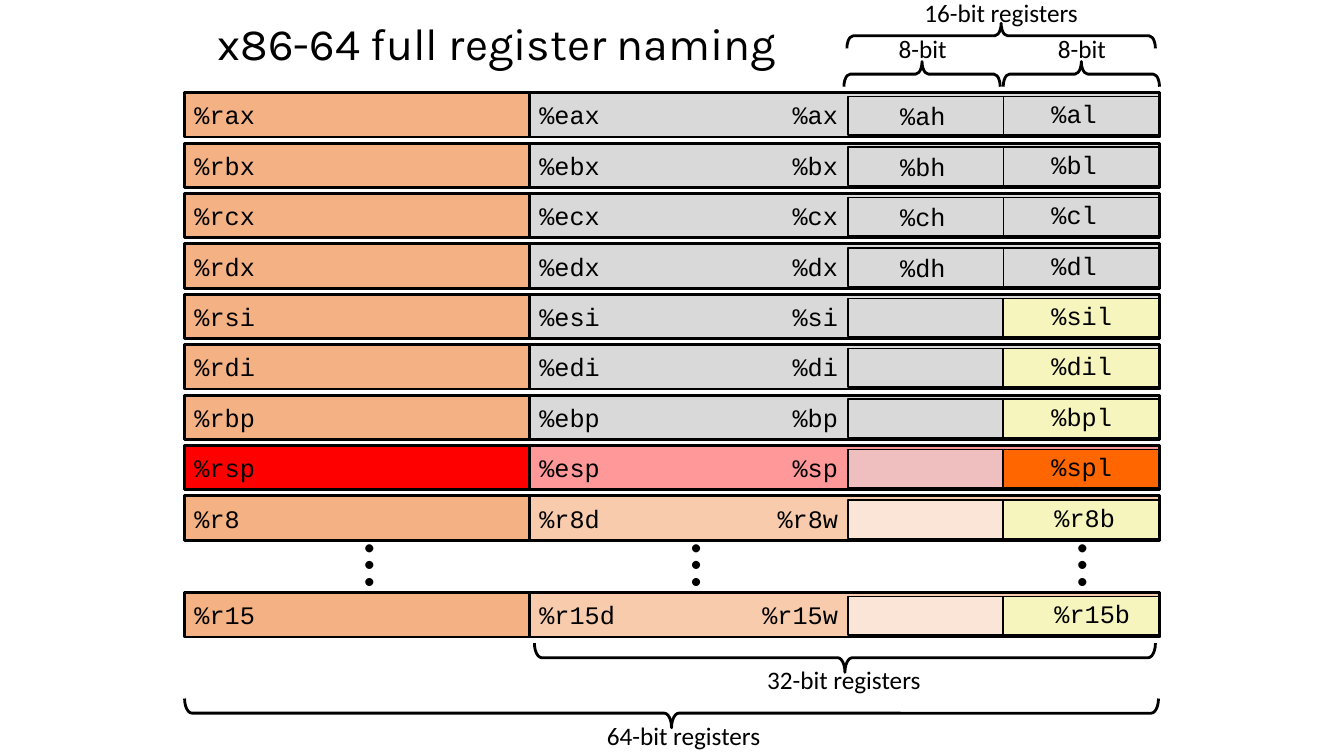
from dataclasses import dataclass

from lxml import etree
from pptx import Presentation
from pptx.dml.color import RGBColor
from pptx.enum.shapes import MSO_CONNECTOR, MSO_SHAPE
from pptx.enum.text import MSO_ANCHOR, MSO_AUTO_SIZE, PP_ALIGN
from pptx.oxml.ns import qn
from pptx.util import Inches, Pt

RECT, BRACE = MSO_SHAPE.RECTANGLE, MSO_SHAPE.RIGHT_BRACE
STRAIGHT = MSO_CONNECTOR.STRAIGHT
LEFT, CENTER, RIGHT = PP_ALIGN.LEFT, PP_ALIGN.CENTER, PP_ALIGN.RIGHT
MIDDLE = MSO_ANCHOR.MIDDLE
NO_FIT, GROW = MSO_AUTO_SIZE.NONE, MSO_AUTO_SIZE.SHAPE_TO_FIT_TEXT

MONO, SANS, TITLE_FONT = "Courier New", "Calibri", "Karla"
BLACK, ORANGE, GREY, YELLOW = "000000", "F4B183", "D9D9D9", "F6F5BD"
PEACH, PALE = "F8CBAD", "FBE5D6"

# Column edges of the register file
X64, X32, X16, X8, X_END = 1.83, 5.25, 8.41, 9.95, 11.5
ROW_TOP, ROW_STEP, ROW_H, BYTE_H = 0.92, 0.5, 0.44, 0.38
LAST_TOP = 5.88


@dataclass
class Register:
    r64: str
    r32: str
    r16: str
    low: str
    high: str = ""
    fill64: str = ORANGE
    fill32: str = GREY
    fill16: str = GREY
    fill_low: str = YELLOW
    low_x: float = 10.33


@dataclass
class Brace:
    left: float
    top: float
    span: float
    depth: float
    rotation: int
    label: str
    label_mid: float
    label_top: float
    label_w: float


REGISTERS = [
    Register("%rax", "%eax", "%ax", "%al", "%ah"),
    Register("%rbx", "%ebx", "%bx", "%bl", "%bh"),
    Register("%rcx", "%ecx", "%cx", "%cl", "%ch"),
    Register("%rdx", "%edx", "%dx", "%dl", "%dh"),
    Register("%rsi", "%esi", "%si", "%sil"),
    Register("%rdi", "%edi", "%di", "%dil"),
    Register("%rbp", "%ebp", "%bp", "%bpl"),
    Register("%rsp", "%esp", "%sp", "%spl", fill64="FF0000",
             fill32="FF9999", fill16="EFBFBF", fill_low="FF6600"),
    Register("%r8", "%r8d", "%r8w", "%r8b",
             fill32=PEACH, fill16=PALE, low_x=10.36),
    Register("%r15", "%r15d", "%r15w", "%r15b",
             fill32=PEACH, fill16=PALE, low_x=10.36),
]

BRACES = [
    Brace(5.3, 6.38, 6.16, 0.29, 90, "32-bit registers", 8.37, 6.54, 1.78),
    Brace(8.4, 0.23, 3.06, 0.25, 270, "16-bit registers", 9.93, -0.08, 1.78),
    Brace(9.95, 0.61, 1.55, 0.25, 270, "8-bit", 10.73, 0.28, 0.69),
    Brace(8.37, 0.61, 1.55, 0.25, 270, "8-bit", 9.15, 0.28, 0.69),
    Brace(1.83, 6.93, 9.66, 0.29, 90, "64-bit registers", 6.78, 7.1, 1.78),
]

ELLIPSIS_X = [3.55, 6.79, 10.62]


def rgb(color: str) -> RGBColor:
    return RGBColor.from_string(color)


def write(tf, text: str, size: float, font: str, align=LEFT) -> None:
    p = tf.paragraphs[0]
    p.alignment = align
    r = p.add_run()
    r.text = text
    r.font.size = Pt(size)
    r.font.name = font
    r.font.color.rgb = rgb(BLACK)


def outline(sp, width: float) -> None:
    sp.line.color.rgb = rgb(BLACK)
    sp.line.width = Pt(width)


def add_box(slide, x: float, y: float, w: float, h: float,
            fill: str, line: float, text: str = ""):
    sp = slide.shapes.add_shape(RECT, Inches(x), Inches(y), Inches(w), Inches(h))
    sp.shadow.inherit = False
    sp.fill.solid()
    sp.fill.fore_color.rgb = rgb(fill)
    outline(sp, line)
    if text:
        sp.text_frame.word_wrap = False
        sp.text_frame.vertical_anchor = MIDDLE
        write(sp.text_frame, text, 18, MONO)
    return sp


def add_label(slide, x: float, y: float, w: float, text: str, font: str = MONO,
              align=LEFT, h: float = 0.4, size: float = 18):
    sp = slide.shapes.add_textbox(Inches(x), Inches(y), Inches(w), Inches(h))
    sp.text_frame.word_wrap = False
    sp.text_frame.auto_size = GROW
    write(sp.text_frame, text, size, font, align)
    return sp


def mono_width(text: str) -> float:
    return 0.21 + 0.15 * len(text)


def add_register(slide, reg: Register, top: float) -> None:
    add_box(slide, X64, top, X_END - X64, ROW_H, reg.fill64, 2, reg.r64)
    add_box(slide, X32, top, X_END - X32, ROW_H, reg.fill32, 2, reg.r32)
    word = add_box(slide, X16, top + 0.04, 3.08, BYTE_H, reg.fill16, 1)
    w16 = mono_width(reg.r16)
    add_label(slide, X16 - w16, top + 0.02, w16, reg.r16, align=RIGHT)
    if reg.high:
        divider = slide.shapes.add_connector(STRAIGHT, 0, 0, 0, 0)
        divider.begin_connect(word, 0)
        divider.end_connect(word, 2)
        outline(divider, 1)
        etree.SubElement(divider._element.spPr, qn("a:effectLst"))
        add_label(slide, 8.83, top + 0.03, mono_width(reg.high), reg.high)
    else:
        add_box(slide, X8, top + 0.04, 1.54, BYTE_H, reg.fill_low, 1)
    add_label(slide, reg.low_x, top + 0.01, mono_width(reg.low), reg.low)


def add_brace(slide, b: Brace) -> None:
    # The upright brace shares its centre with the turned one
    x = b.left + (b.span - b.depth) / 2
    y = b.top + (b.depth - b.span) / 2
    sp = slide.shapes.add_shape(BRACE, Inches(x), Inches(y),
                                Inches(b.depth), Inches(b.span))
    sp.adjustments[0] = 0.25
    sp.rotation = b.rotation
    sp.shadow.inherit = False
    sp.fill.background()
    outline(sp, 2)
    add_label(slide, b.label_mid - b.label_w / 2, b.label_top, b.label_w,
              b.label, SANS, CENTER)


def add_title(slide, text: str) -> None:
    title = slide.shapes.title
    title.left, title.top = Inches(2.06), Inches(0.17)
    title.width, title.height = Inches(8.3), Inches(0.58)
    tf = title.text_frame
    tf.auto_size = NO_FIT
    tf.vertical_anchor = MIDDLE
    write(tf, text, 32, TITLE_FONT)
    p = tf.paragraphs[0]
    p.line_spacing = 0.9
    pPr = p._p.get_or_add_pPr()
    pPr.set("marL", str(Inches(0.13)))
    pPr.set("indent", str(Inches(-0.13)))


def main() -> None:
    prs = Presentation()
    prs.slide_width, prs.slide_height = Inches(13.33), Inches(7.5)
    slide = prs.slides.add_slide(prs.slide_layouts[5])
    add_title(slide, "x86-64 full register naming")

    # Register rows, the last one set apart by the ellipses
    for i, reg in enumerate(REGISTERS[:-1]):
        add_register(slide, reg, ROW_TOP + i * ROW_STEP)
    add_register(slide, REGISTERS[-1], LAST_TOP)
    for x in ELLIPSIS_X:
        dots = add_label(slide, x, 5.17, 0.68, "…", SANS, h=0.91, size=48)
        dots.rotation = 90

    # Width braces
    for brace in BRACES:
        add_brace(slide, brace)

    prs.save("out.pptx")


if __name__ == "__main__":
    main()
